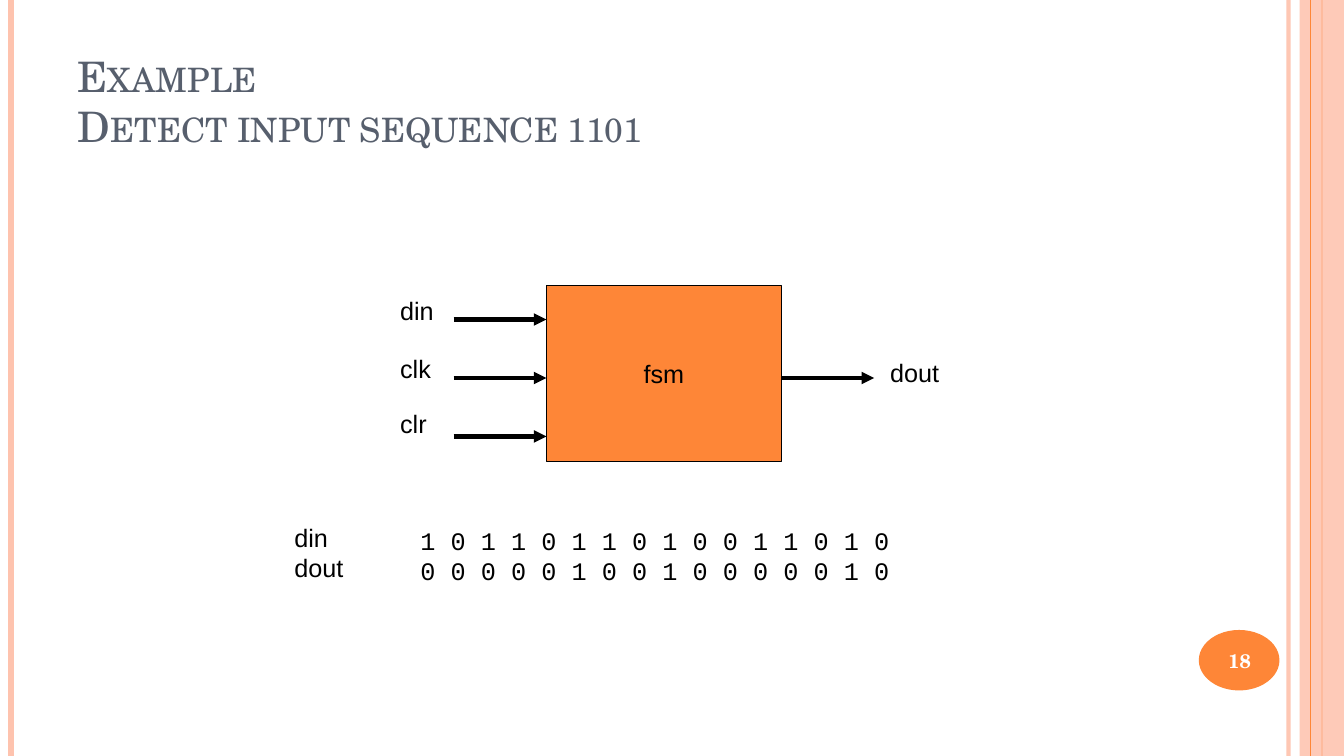
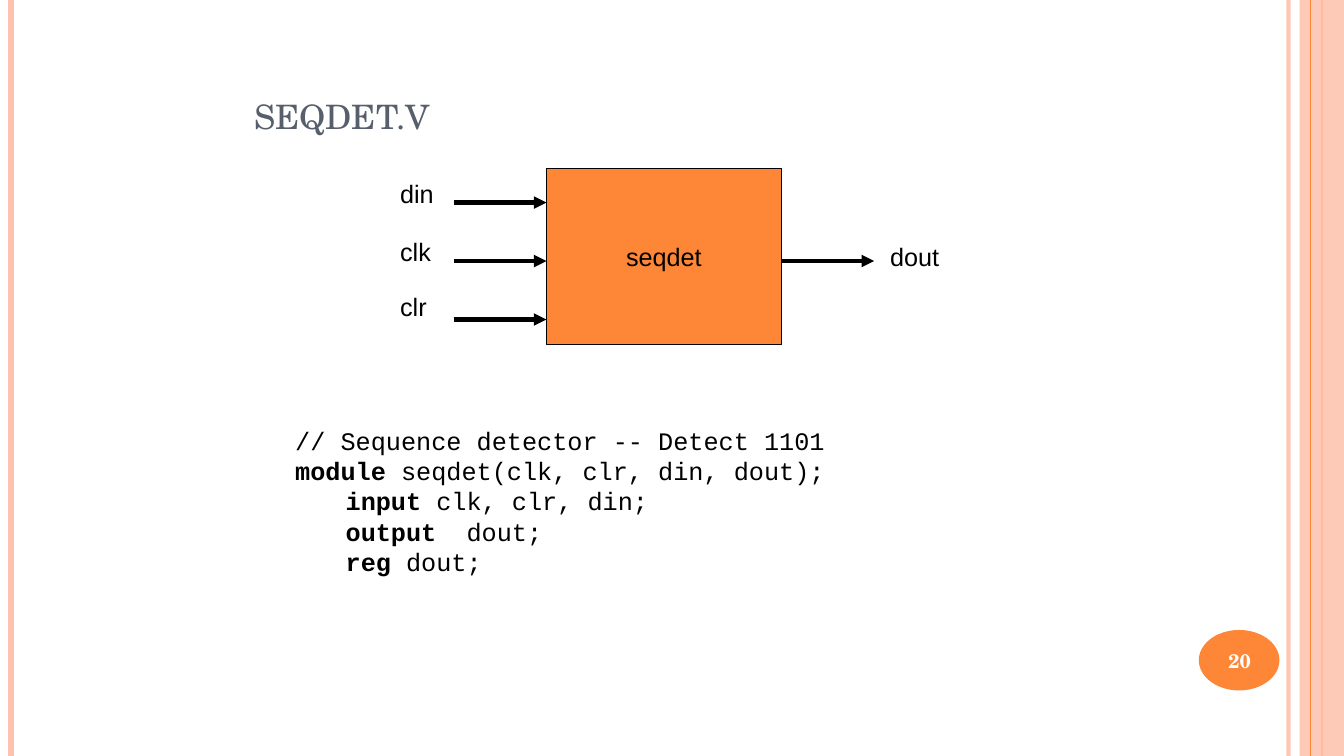
from dataclasses import dataclass

from lxml.etree import SubElement
from pptx import Presentation
from pptx.dml.color import RGBColor
from pptx.enum.shapes import MSO_CONNECTOR, MSO_SHAPE
from pptx.enum.text import MSO_ANCHOR, MSO_AUTO_SIZE, PP_ALIGN
from pptx.oxml.ns import qn
from pptx.shapes.autoshape import Shape
from pptx.shapes.connector import Connector
from pptx.slide import Slide, SlideLayout
from pptx.text.text import TextFrame, _Paragraph
from pptx.util import Inches, Pt

COLORS = {
    "orange": "FE8637",
    "peach": "FEC3AE",
    "title": "575F6D",
    "black": "000000",
    "white": "FFFFFF",
}
SERIF, SANS, MONO = "TeX Gyre Schola", "Arial", "Courier New"
SLIDE_WIDTH, SLIDE_HEIGHT = 13.33, 7.5
BLOCK_LEFT, BLOCK_WIDTH, BLOCK_HEIGHT = 5.42, 2.33, 1.75
ARROW_LENGTH = 0.92
FIRST_INPUT, INPUT_STEP = 0.34, 0.58


@dataclass(frozen=True)
class Box:
    left: float
    top: float
    width: float
    height: float


@dataclass(frozen=True)
class Band:
    x: float
    color: str
    weight: float
    opacity: int = 100


@dataclass(frozen=True)
class PortLabel:
    text: str
    left: float
    offset: float
    width: float


@dataclass(frozen=True)
class Piece:
    text: str
    bold: bool = False


Lines = list[list[Piece]]

BANDS_BEHIND = [
    Band(12.78, "peach", 3, 93),
    Band(0.11, "peach", 4.5),
    Band(13.11, "orange", 1.5),
]
BAND_IN_FRONT = Band(13, "orange", 0.75)
SIDE_STRIP = Box(12.89, 0, 0.44, SLIDE_HEIGHT)
BADGE = Box(11.89, 6.25, 0.8, 0.6)
PAGE_NUMBER = Box(11.85, 6.27, 0.89, 0.57)
PORT_LABELS = [
    PortLabel("din", 3.87, 0.05, 0.54),
    PortLabel("dout", 8.73, 0.67, 0.69),
    PortLabel("clk", 3.87, 0.63, 0.51),
    PortLabel("clr", 3.87, 1.17, 0.47),
]
SIGNAL_NAMES: Lines = [[Piece("din")], [Piece("dout")]]
SIGNAL_BITS: Lines = [
    [Piece("1 0 1 1 0 1 1 0 1 0 0 1 1 0 1 0")],
    [Piece("0 0 0 0 0 1 0 0 1 0 0 0 0 0 1 0")],
]
CODE: Lines = [
    [Piece("// Sequence detector -- Detect 1101")],
    [Piece("module", True), Piece(" seqdet(clk, clr, din, dout);")],
    [Piece("\t"), Piece("input", True), Piece(" clk, clr, din;")],
    [Piece("\t"), Piece("output", True), Piece("  dout;")],
    [Piece("\t"), Piece("reg", True), Piece(" dout;")],
]


def rgb(name: str) -> RGBColor:
    return RGBColor.from_string(COLORS[name])


def set_opacity(shape: Shape | Connector, percent: int) -> None:
    color = next(shape.element.spPr.iter(qn("a:srgbClr")))
    SubElement(color, qn("a:alpha")).set("val", str(percent * 1000))


def add_run(paragraph: _Paragraph, piece: Piece, font_name: str, size: float,
            color: str, small_caps: bool = False) -> None:
    run = paragraph.add_run()
    run.text = piece.text
    run.font.name = font_name
    run.font.size = Pt(size)
    run.font.bold = piece.bold
    run.font.color.rgb = rgb(color)
    if small_caps:
        run.font._element.set("cap", "small")


def write_lines(frame: TextFrame, lines: Lines, font_name: str, size: float = 18,
                color: str = "black", alignment: PP_ALIGN = PP_ALIGN.LEFT) -> None:
    for index, line in enumerate(lines):
        paragraph = frame.add_paragraph() if index else frame.paragraphs[0]
        paragraph.alignment = alignment
        for piece in line:
            add_run(paragraph, piece, font_name, size, color)


def add_text(slide: Slide, box: Box, lines: Lines, font_name: str,
             wrap: bool = False) -> None:
    shape = slide.shapes.add_textbox(
        Inches(box.left), Inches(box.top), Inches(box.width), Inches(box.height))
    frame = shape.text_frame
    frame.word_wrap = wrap
    frame.auto_size = MSO_AUTO_SIZE.SHAPE_TO_FIT_TEXT
    write_lines(frame, lines, font_name)


def add_filled_shape(slide: Slide, kind: MSO_SHAPE, box: Box, fill: str) -> Shape:
    shape = slide.shapes.add_shape(
        kind, Inches(box.left), Inches(box.top), Inches(box.width), Inches(box.height))
    shape.shadow.inherit = False
    shape.fill.solid()
    shape.fill.fore_color.rgb = rgb(fill)
    shape.line.fill.background()
    return shape


def add_line(slide: Slide, start: tuple[float, float], end: tuple[float, float],
             color: str, weight: float) -> Connector:
    line = slide.shapes.add_connector(
        MSO_CONNECTOR.STRAIGHT, Inches(start[0]), Inches(start[1]),
        Inches(end[0]), Inches(end[1]))
    line.line.color.rgb = rgb(color)
    line.line.width = Pt(weight)
    SubElement(line.element.spPr, qn("a:effectLst"))
    return line


def add_arrow(slide: Slide, left: float, top: float) -> None:
    arrow = add_line(slide, (left, top), (left + ARROW_LENGTH, top), "black", 3)
    outline = arrow.element.spPr.find(qn("a:ln"))
    SubElement(outline, qn("a:tailEnd")).set("type", "triangle")


def add_band(slide: Slide, band: Band) -> Connector:
    line = add_line(slide, (band.x, 0), (band.x, SLIDE_HEIGHT), band.color, band.weight)
    if band.opacity < 100:
        set_opacity(line, band.opacity)
    return line


def decorate_layout(layout: SlideLayout, slide: Slide) -> None:
    decorations = [add_band(slide, band) for band in BANDS_BEHIND]
    strip = add_filled_shape(slide, MSO_SHAPE.RECTANGLE, SIDE_STRIP, "peach")
    set_opacity(strip, 87)
    decorations.append(strip)
    decorations.append(add_band(slide, BAND_IN_FRONT))
    decorations.append(add_filled_shape(slide, MSO_SHAPE.OVAL, BADGE, "orange"))
    for number, shape in enumerate(decorations, start=100):
        next(shape.element.iter(qn("p:cNvPr"))).set("id", str(number))
        layout.shapes.element.append(shape.element)


def add_title(slide: Slide, box: Box, lines: list[str]) -> None:
    title = slide.shapes.title
    title.left, title.top = Inches(box.left), Inches(box.top)
    title.width, title.height = Inches(box.width), Inches(box.height)
    frame = title.text_frame
    frame.auto_size = MSO_AUTO_SIZE.NONE
    frame.vertical_anchor = MSO_ANCHOR.BOTTOM
    paragraph = frame.paragraphs[0]
    paragraph.alignment = PP_ALIGN.LEFT
    for index, line in enumerate(lines):
        if index:
            paragraph.add_line_break()
        add_run(paragraph, Piece(line), SERIF, 30, "title", small_caps=True)


def add_block_diagram(slide: Slide, name: str, top: float) -> None:
    block = add_filled_shape(
        slide, MSO_SHAPE.RECTANGLE, Box(BLOCK_LEFT, top, BLOCK_WIDTH, BLOCK_HEIGHT), "orange")
    block.line.color.rgb = rgb("black")
    block.line.width = Pt(0.75)
    block.text_frame.word_wrap = False
    block.text_frame.vertical_anchor = MSO_ANCHOR.MIDDLE
    write_lines(block.text_frame, [[Piece(name)]], SANS, alignment=PP_ALIGN.CENTER)
    for index in range(3):
        add_arrow(slide, BLOCK_LEFT - ARROW_LENGTH, top + FIRST_INPUT + index * INPUT_STEP)
    add_arrow(slide, BLOCK_LEFT + BLOCK_WIDTH, top + FIRST_INPUT + INPUT_STEP)
    for label in PORT_LABELS:
        add_text(slide, Box(label.left, top + label.offset, label.width, 0.4),
                 [[Piece(label.text)]], SANS)


def add_page_number(slide: Slide, number: int) -> None:
    shape = slide.shapes.add_textbox(
        Inches(PAGE_NUMBER.left), Inches(PAGE_NUMBER.top),
        Inches(PAGE_NUMBER.width), Inches(PAGE_NUMBER.height))
    shape.text_frame.word_wrap = True
    shape.text_frame.vertical_anchor = MSO_ANCHOR.MIDDLE
    write_lines(shape.text_frame, [[Piece(str(number), True)]], SERIF, 14, "white",
                PP_ALIGN.CENTER)


def main() -> None:
    presentation = Presentation()
    presentation.slide_width = Inches(SLIDE_WIDTH)
    presentation.slide_height = Inches(SLIDE_HEIGHT)
    layout = presentation.slide_layouts.get_by_name("Title Only")

    example = presentation.slides.add_slide(layout)
    decorate_layout(layout, example)
    add_title(example, Box(0.67, 0.3, 10.89, 1.25),
              ["Example", "Detect input sequence 1101"])
    add_block_diagram(example, "fsm", 2.83)
    add_text(example, Box(2.82, 5.13, 0.69, 0.71), SIGNAL_NAMES, SANS)
    add_text(example, Box(4.07, 5.16, 4.88, 0.71), SIGNAL_BITS, MONO)
    add_page_number(example, 18)

    detector = presentation.slides.add_slide(layout)
    add_title(detector, Box(2.42, 0.17, 8.5, 1.25), ["seqdet.v"])
    add_block_diagram(detector, "seqdet", 1.67)
    add_text(detector, Box(2.83, 4.17, 7.67, 1.62), CODE, MONO, wrap=True)
    add_page_number(detector, 20)

    presentation.save("out.pptx")


if __name__ == "__main__":
    main()
